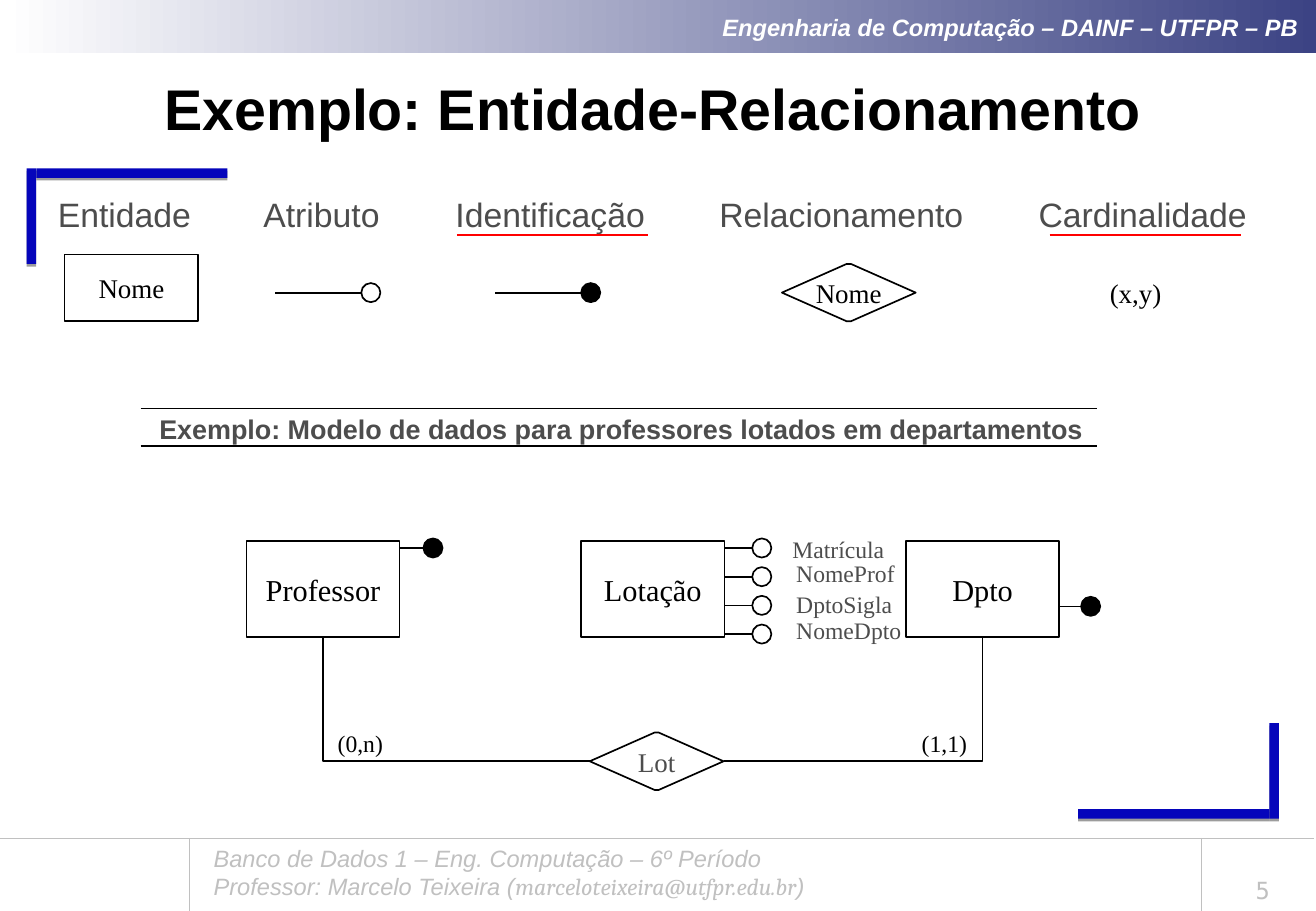
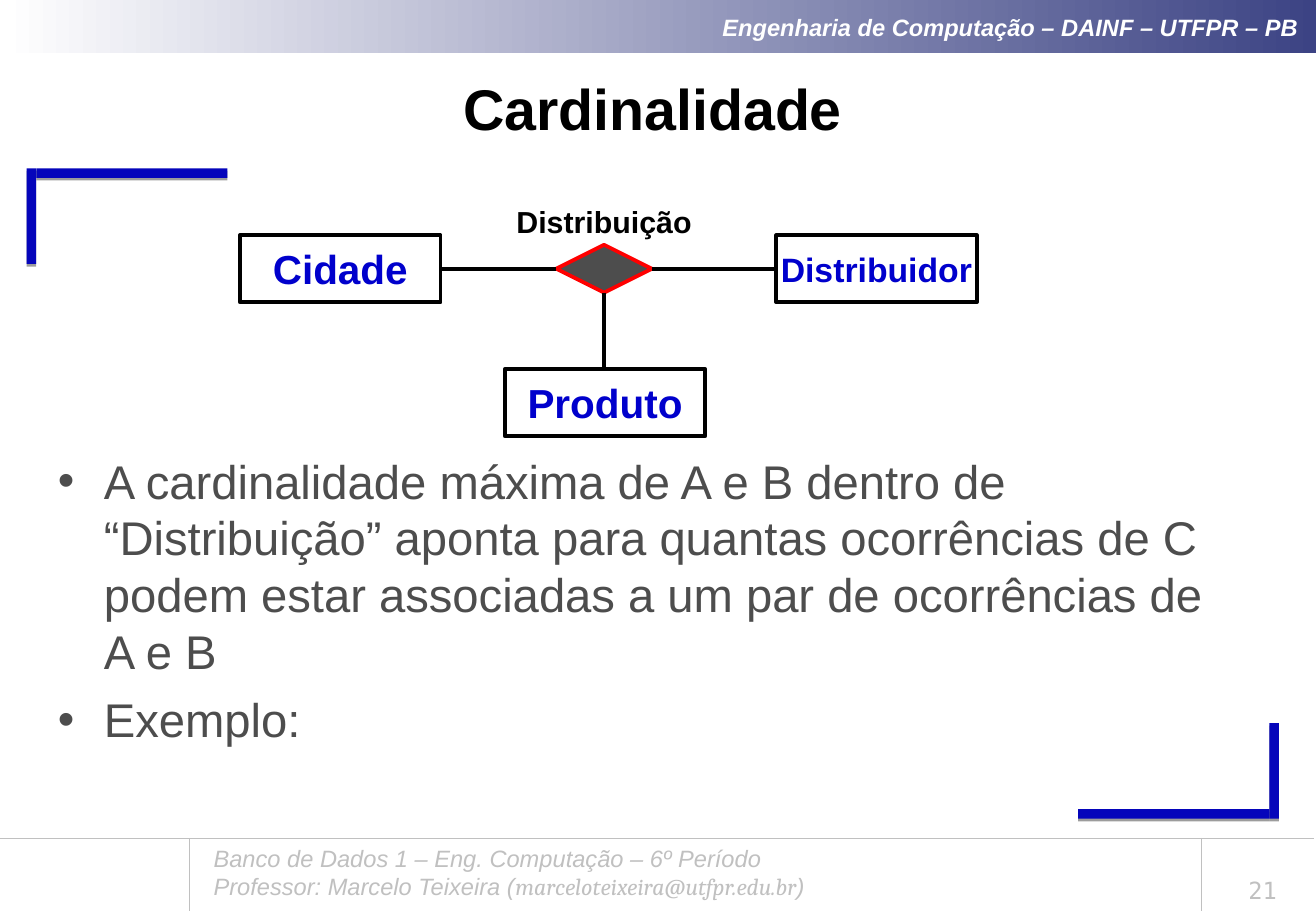
from dataclasses import dataclass, replace
from typing import NamedTuple

from pptx import Presentation
from pptx.dml.color import RGBColor
from pptx.enum.shapes import MSO_CONNECTOR, MSO_SHAPE
from pptx.enum.text import MSO_ANCHOR, PP_ALIGN
from pptx.oxml.ns import qn
from pptx.oxml.xmlchemy import OxmlElement
from pptx.util import Inches, Length, Mm, Pt

BLACK = RGBColor(0x00, 0x00, 0x00)
WHITE = RGBColor(0xFF, 0xFF, 0xFF)
GREY = RGBColor(0x4D, 0x4D, 0x4D)
SILVER = RGBColor(0xC0, 0xC0, 0xC0)
RED = RGBColor(0xFF, 0x00, 0x00)
NAVY = RGBColor(0x3C, 0x43, 0x84)
CORNER_BLUE = RGBColor(0x05, 0x05, 0xBB)
NAME_BLUE = RGBColor(0x00, 0x00, 0xCC)

CELL = Mm(2)
SLIDE_W, SLIDE_H = Inches(10.84), Inches(7.5)
BOTTOM = SLIDE_H / CELL
FOOTER_TOP = 87.6
TIGHT = (0.5, 0.5, 0.5, 0.5)
LOOSE = (1.27, 0.64, 1.27, 0.64)


class Box(NamedTuple):
    """Left, top, width and height in grid cells."""
    x: float
    y: float
    w: float
    h: float


class Pin(NamedTuple):
    """Attribute marker: line start, and whether it identifies."""
    x: float
    y: float
    key: bool = False


class Label(NamedTuple):
    """Short text with its place."""
    text: str
    x: float
    y: float


@dataclass(frozen=True)
class Style:
    """Look of a run of text."""
    size: float
    font: str = "Arial"
    color: RGBColor = BLACK
    bold: bool = False
    italic: bool = False


SERIF = "Times New Roman"
TITLE = Style(34, bold=True)
BAND = Style(14, color=WHITE, bold=True, italic=True)
FOOTER = Style(14, color=SILVER, italic=True)
EMAIL = replace(FOOTER, font="Cambria")
NUMBER = Style(14, "DejaVu Sans Mono", SILVER)
SYMBOL = Style(16, SERIF)
ENTITY = Style(18, SERIF)
CARDINALITY = Style(14, SERIF)
ATTRIBUTE = replace(CARDINALITY, color=GREY)
LEGEND = Style(20, color=GREY)
BODY = Style(28, color=GREY)
BOX_NAME = Style(24, color=NAME_BLUE, bold=True)


def g(cells: float) -> Length:
    """Turn grid cells into a length."""
    return Length(round(cells * CELL))


def add_run(p, text: str, style: Style) -> None:
    """Add one styled run to a paragraph."""
    r = p.add_run()
    r.text = text
    r.font.size = Pt(style.size)
    r.font.name = style.font
    r.font.color.rgb = style.color
    r.font.bold = style.bold
    r.font.italic = style.italic


def set_frame(sp, insets=LOOSE, anchor=MSO_ANCHOR.TOP, wrap=True):
    """Set up the text frame of a shape and return it."""
    tf = sp.text_frame
    tf.word_wrap = wrap
    tf.vertical_anchor = anchor
    tf.margin_left, tf.margin_top, tf.margin_right, tf.margin_bottom = map(g, insets)
    return tf


def add_text(s, box: Box, text: str, style: Style, align=PP_ALIGN.LEFT, **frame):
    """Add a text box with one paragraph and return the paragraph."""
    sp = s.shapes.add_textbox(*map(g, box))
    p = set_frame(sp, **frame).paragraphs[0]
    p.alignment = align
    add_run(p, text, style)
    return p


def add_caption(s, box: Box, text: str, style: Style) -> None:
    """Add unwrapped text centred on a box."""
    add_text(s, box, text, style, PP_ALIGN.CENTER,
             insets=TIGHT, anchor=MSO_ANCHOR.MIDDLE, wrap=False)


def add_figure(s, kind, box: Box, fill: RGBColor = WHITE, line: RGBColor | None = BLACK,
               weight: float = 1, text: str = "", style: Style = SYMBOL):
    """Add a filled preset shape, with centred text if given."""
    sp = s.shapes.add_shape(kind, *map(g, box))
    sp.shadow.inherit = False
    sp.fill.solid()
    sp.fill.fore_color.rgb = fill
    if line is None:
        sp.line.fill.background()
    else:
        sp.line.color.rgb = line
        sp.line.width = Pt(weight)
    if kind == MSO_SHAPE.HEXAGON:
        sp.adjustments[0] = 1.13
    if text:
        p = set_frame(sp, TIGHT, MSO_ANCHOR.MIDDLE, False).paragraphs[0]
        p.alignment = PP_ALIGN.CENTER
        add_run(p, text, style)
    return sp


def add_line(s, x1: float, y1: float, x2: float, y2: float,
             color: RGBColor = BLACK, weight: float = 1, bent: bool = False) -> None:
    """Add a straight line, or one with a single right-angled bend."""
    kind = MSO_CONNECTOR.ELBOW if bent else MSO_CONNECTOR.STRAIGHT
    c = s.shapes.add_connector(kind, g(x1), g(y1), g(x2), g(y2))
    c.line.color.rgb = color
    c.line.width = Pt(weight)
    pr = c._element.spPr
    pr.append(OxmlElement("a:effectLst"))
    if bent:
        pr.find(qn("a:prstGeom")).set("prst", "bentConnector2")


def add_pin(s, pin: Pin) -> None:
    """Draw an attribute as a line ending in a circle."""
    add_line(s, pin.x, pin.y, pin.x + 9, pin.y)
    add_figure(s, MSO_SHAPE.OVAL, Box(pin.x + 9, pin.y - 1, 2, 2), BLACK if pin.key else WHITE)


def add_corner_bar(s, box: Box) -> None:
    """Draw a blue corner bar with a soft drop shadow."""
    sp = add_figure(s, MSO_SHAPE.RECTANGLE, box, CORNER_BLUE, None)
    shadow = OxmlElement("a:outerShdw")
    shadow.set("dist", str(Pt(1.6)))
    shadow.set("dir", "5400000")
    color = OxmlElement("a:srgbClr")
    color.set("val", str(BLACK))
    alpha = OxmlElement("a:alpha")
    alpha.set("val", "38000")
    color.append(alpha)
    shadow.append(color)
    sp._element.spPr.find(qn("a:effectLst")).append(shadow)


def add_slide(prs, title: str, number: int):
    """Add a slide with the shared band, corners, footer and title."""
    s = prs.slides.add_slide(prs.slide_layouts[6])
    band = add_figure(s, MSO_SHAPE.RECTANGLE, Box(0.25, 0, 137.5, 5.6), line=None)
    band.fill.gradient()
    band.fill.gradient_angle = 0
    for stop, color, place in zip(band.fill.gradient_stops, (WHITE, NAVY), (0, 1)):
        stop.color.rgb = color
        stop.position = place
    p = set_frame(band, (1.27, 0.64, 1.9, 0.64), MSO_ANCHOR.MIDDLE).paragraphs[0]
    p.alignment = PP_ALIGN.RIGHT
    add_run(p, "Engenharia de Computação – DAINF – UTFPR – PB", BAND)

    for box in (Box(112.8, 84.6, 20, 1), Box(132.8, 75.6, 1, 10),
                Box(3.8, 17.6, 20, 1), Box(2.8, 17.6, 1, 10)):
        add_corner_bar(s, box)

    for x in (19.8, 125.7):
        add_line(s, x, FOOTER_TOP, x, BOTTOM, SILVER, 0.75)
    p = add_text(s, Box(21.1, FOOTER_TOP, 95.8, 7.2),
                 "Banco de Dados 1 – Eng. Computação – 6º Período", FOOTER)
    p = s.shapes[-1].text_frame.add_paragraph()
    add_run(p, "Professor: Marcelo Teixeira (", FOOTER)
    add_run(p, "marceloteixeira@utfpr.edu.br", EMAIL)
    add_run(p, ")", FOOTER)
    add_line(s, 0, FOOTER_TOP, 137.5, FOOTER_TOP, SILVER, 0.25)
    add_text(s, Box(126.6, 90.3, 11, 4.9), str(number), NUMBER,
             PP_ALIGN.CENTER, anchor=MSO_ANCHOR.BOTTOM)
    add_text(s, Box(2.8, 6.9, 131, 8.8), title, TITLE,
             PP_ALIGN.CENTER, anchor=MSO_ANCHOR.MIDDLE)
    return s


def add_tabs(p, stops: tuple[float, ...]) -> None:
    """Give a paragraph left tab stops, in grid cells."""
    tabs = OxmlElement("a:tabLst")
    for stop in stops:
        tab = OxmlElement("a:tab")
        tab.set("pos", str(g(stop)))
        tab.set("algn", "l")
        tabs.append(tab)
    p._p.get_or_add_pPr().append(tabs)


def add_bullet(p) -> None:
    """Give a paragraph a hanging bullet."""
    pr = p._p.get_or_add_pPr()
    pr.set("marL", str(Inches(0.38)))
    pr.set("indent", str(-Inches(0.38)))
    for tag, name, value in (("a:buFont", "typeface", "Arial"), ("a:buChar", "char", "•")):
        part = OxmlElement(tag)
        part.set(name, value)
        pr.append(part)


def build_example(prs) -> None:
    """Build the slide with the symbols and the sample model."""
    s = add_slide(prs, "Exemplo: Entidade-Relacionamento", 5)
    names = ("Entidade", "Atributo", "Identificação", "Relacionamento", "Cardinalidade")
    p = add_text(s, Box(4.8, 19.6, 129, 5), "\t".join(names), LEGEND)
    add_tabs(p, (21.5, 41.6, 69.2, 102.6))
    for x in (47.8, 109.8):
        add_line(s, x, 24.6, x + 20, 24.6, RED)
    add_figure(s, MSO_SHAPE.RECTANGLE, Box(6.75, 26.6, 14, 7), text="Nome")
    add_figure(s, MSO_SHAPE.HEXAGON, Box(81.8, 27.6, 14, 6), text="Nome")
    add_caption(s, Box(111.8, 27.6, 14, 6), "(x,y)", SYMBOL)

    for y in (42.7, 46.6):
        add_line(s, 14.7, y, 114.8, y)
    add_caption(s, Box(11.4, 42.6, 107.2, 4.4),
                "Exemplo: Modelo de dados para professores lotados em departamentos",
                Style(16, color=GREY, bold=True))

    pins = [Pin(28.8, 30.6), Pin(51.8, 30.6, True), Pin(35.3, 57.3, True), Pin(104.1, 63.4, True)]
    for pin in pins + [Pin(69.7, 57.3 + 3 * row) for row in range(4)]:
        add_pin(s, pin)

    teacher, posting, dept = Box(25.8, 56.6, 16, 10), Box(60.8, 56.6, 15, 10), Box(94.8, 56.6, 16, 10)
    for box, name in ((teacher, "Professor"), (posting, "Lotação"), (dept, "Dpto")):
        add_figure(s, MSO_SHAPE.RECTANGLE, box, text=name, style=ENTITY)
    for label in (Label("Matrícula", 82.4, 55.4), Label("NomeProf", 82.8, 57.9),
                  Label("DptoSigla", 82.8, 61.2), Label("NomeDpto", 82.8, 63.9)):
        add_text(s, Box(label.x, label.y, 16, 4), label.text, ATTRIBUTE, insets=TIGHT)
    link = Box(61.7, 76.6, 14, 6)
    add_figure(s, MSO_SHAPE.HEXAGON, link, text="Lot", style=replace(SYMBOL, color=GREY))
    for x, box in ((link.x, teacher), (link.x + link.w, dept)):
        add_line(s, x, link.y + link.h / 2, box.x + box.w / 2, box.y + box.h, bent=True)
    for label in (Label("(0,n)", 30.7, 74.7), Label("(1,1)", 91.8, 74.7)):
        add_caption(s, Box(label.x, label.y, 14, 6), label.text, CARDINALITY)


def build_cardinality(prs) -> None:
    """Build the slide on the cardinality of a ternary relationship."""
    s = add_slide(prs, "Cardinalidade", 21)
    add_figure(s, MSO_SHAPE.DIAMOND, Box(58.2, 25.6, 10, 5), GREY, RED, 2.25)
    for ends in ((46.1, 28.1, 58.2, 28.1), (68.2, 28.1, 81.2, 28.1), (63.2, 30.6, 63.2, 38.6)):
        add_line(s, *ends, weight=2.25)
    for label, size in ((Label("Cidade", 25.1, 24.6), 24), (Label("Distribuidor", 81.2, 24.6), 20),
                        (Label("Produto", 52.8, 38.6), 24)):
        add_figure(s, MSO_SHAPE.RECTANGLE, Box(label.x, label.y, 21, 7), weight=2.25,
                   text=label.text, style=replace(BOX_NAME, size=size))
    add_caption(s, Box(51.2, 20.6, 24, 5), "Distribuição", Style(18, bold=True))

    first = add_text(s, Box(4.8, 46.6, 126, 37),
                     "A cardinalidade máxima de A e B dentro de “Distribuição” aponta para "
                     "quantas ocorrências de C podem estar associadas a um par de "
                     "ocorrências de A e B", BODY)
    second = s.shapes[-1].text_frame.add_paragraph()
    add_run(second, "Exemplo:", BODY)
    for p in (first, second):
        add_bullet(p)
    second.space_before = Pt(7)


def main() -> None:
    """Build and save the presentation."""
    prs = Presentation()
    prs.slide_width, prs.slide_height = SLIDE_W, SLIDE_H
    build_example(prs)
    build_cardinality(prs)
    prs.save("out.pptx")


if __name__ == "__main__":
    main()
